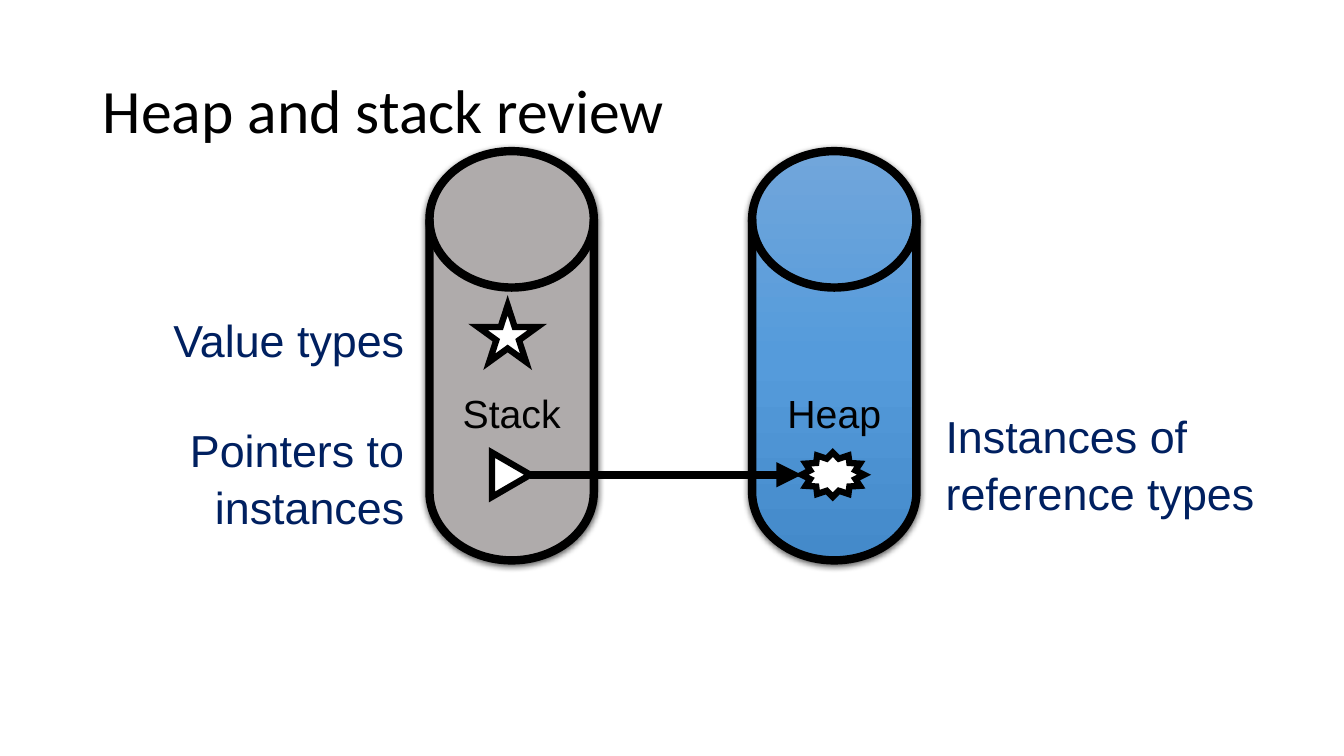
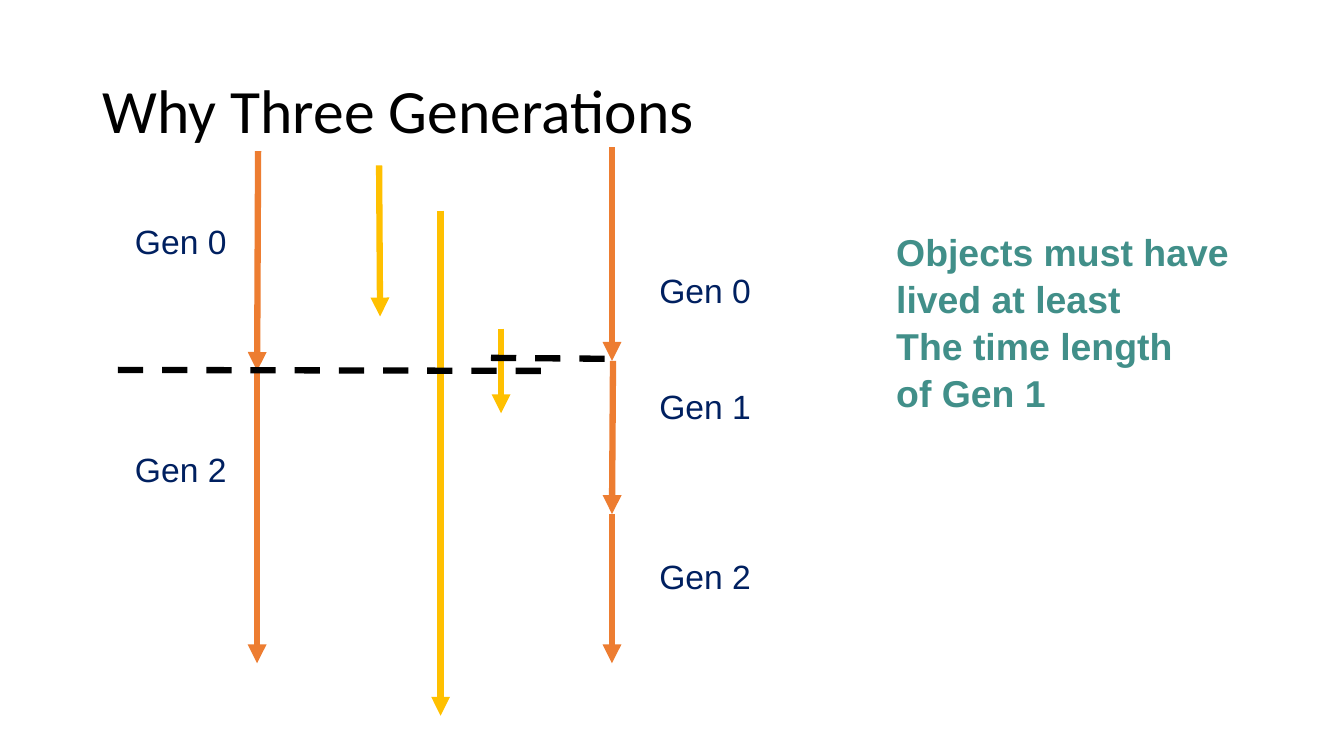
from copy import deepcopy

from lxml import etree
from pptx import Presentation
from pptx import util as u
from pptx.dml.color import RGBColor
from pptx.enum import dml, shapes, text
from pptx.oxml.ns import qn

PX = 9144
BLACK, WHITE, NAVY, TEAL = "000000", "FFFFFF", "002060", "418F89"
GREY, ORANGE, GOLD = "AFABAB", "ED7D31", "FFC000"
HEAP_BLUES = [(0, "71A6DB"), (0.5, "559BDB"), (1, "448ACA")]
SHAPE, ALIGN = shapes.MSO_SHAPE, text.PP_ALIGN


def px(*lengths):
    return [u.Emu(length * PX) for length in lengths]


def rgb(color):
    return RGBColor.from_string(color)


def style_text(frame, size, color, font="Arial", align=ALIGN.LEFT, bold=False, spacing=None):
    for paragraph in frame.paragraphs:
        paragraph.alignment = align
        paragraph.line_spacing = spacing
        paragraph.font.name = font
        paragraph.font.size = u.Pt(size)
        paragraph.font.bold = bold
        paragraph.font.color.rgb = rgb(color)


def add_titled_slide(prs, wording):
    slide = prs.slides.add_slide(prs.slide_layouts[5])
    title = slide.shapes.title
    title.left, title.top, title.width, title.height = px(92, 40, 1150, 145)
    title.text_frame.text = wording
    title.text_frame.vertical_anchor = text.MSO_ANCHOR.MIDDLE
    style_text(title.text_frame, 44, BLACK, font="Calibri", spacing=0.9)
    return slide


def add_label(slide, box, wording, size=24, color=NAVY, align=ALIGN.LEFT, bold=False, wrap=False):
    frame = slide.shapes.add_textbox(*px(*box)).text_frame
    frame.word_wrap = wrap
    frame.auto_size = text.MSO_AUTO_SIZE.SHAPE_TO_FIT_TEXT
    frame.text = wording
    style_text(frame, size, color, align=align, bold=bold, spacing=1.05)


def add_outlined(slide, kind, box, fill=WHITE, width=4.5, rotation=0):
    shape = slide.shapes.add_shape(kind, *px(*box))
    shape.rotation = rotation
    shape.shadow.inherit = False
    shape.fill.solid()
    shape.fill.fore_color.rgb = rgb(fill)
    shape.line.color.rgb = rgb(BLACK)
    shape.line.width = u.Pt(width)
    outline = shape.element.spPr.find(qn("a:ln"))
    etree.SubElement(outline, qn("a:miter"), lim="800000")
    return shape


def add_drop_shadow(shape):
    effects = shape.element.spPr.find(qn("a:effectLst"))
    shadow = etree.SubElement(effects, qn("a:outerShdw"), blurRad=str(u.Pt(4.5)),
                              dist=str(u.Pt(1.5)), dir="5400000", rotWithShape="0")
    tint = etree.SubElement(shadow, qn("a:srgbClr"), val=BLACK)
    etree.SubElement(tint, qn("a:alpha"), val="63000")


def fill_downwards(shape, blend):
    shape.fill.gradient()
    shape.fill.gradient_angle = 270
    stop_list = shape.element.spPr.find(qn("a:gradFill")).find(qn("a:gsLst"))
    stop_list.append(deepcopy(stop_list[0]))
    for stop, (position, color) in zip(shape.fill.gradient_stops, blend):
        stop.position = position
        stop.color.rgb = rgb(color)


def add_cylinder(slide, left, name):
    cylinder = add_outlined(slide, SHAPE.FLOWCHART_MAGNETIC_DISK, (left, 150, 163, 406), GREY, 6)
    add_drop_shadow(cylinder)
    frame = cylinder.text_frame
    frame.text = name
    frame.word_wrap = False
    frame.vertical_anchor = text.MSO_ANCHOR.MIDDLE
    frame.margin_left, frame.margin_top, frame.margin_right, frame.margin_bottom = px(10, 50, 10, 5)
    style_text(frame, 28, BLACK, align=ALIGN.CENTER)
    return cylinder


def add_line(slide, ends, color, width=4.5, dashed=False):
    connector = slide.shapes.add_connector(shapes.MSO_CONNECTOR.STRAIGHT, *px(*ends))
    etree.SubElement(connector.element.spPr, qn("a:effectLst"))
    connector.line.color.rgb = rgb(color)
    connector.line.width = u.Pt(width)
    if dashed:
        connector.line.dash_style = dml.MSO_LINE.DASH
    else:
        stroke = connector.element.spPr.find(qn("a:ln"))
        etree.SubElement(stroke, qn("a:tailEnd"), type="triangle")


def build_heap_and_stack(prs):
    slide = add_titled_slide(prs, "Heap and stack review")
    add_cylinder(slide, 426, "Stack")
    heap = add_cylinder(slide, 746, "Heap")
    fill_downwards(heap, HEAP_BLUES)
    add_outlined(slide, SHAPE.ISOSCELES_TRIANGLE, (485, 452, 44, 38), rotation=90)
    add_outlined(slide, SHAPE.STAR_12_POINT, (795, 449, 62, 44))
    add_line(slide, (526, 471, 795, 471), BLACK, width=6)
    add_outlined(slide, SHAPE.STAR_5_POINT, (474, 303, 59, 56))
    add_label(slide, (160, 303, 251, 64), "Value types", 32, align=ALIGN.RIGHT)
    add_label(slide, (177, 412, 234, 118), "Pointers to\vinstances", 32, align=ALIGN.RIGHT)
    add_label(slide, (928, 398, 338, 118), "Instances of reference types", 32, wrap=True)


def build_three_generations(prs):
    slide = add_titled_slide(prs, "Why Three Generations")
    lifetimes = [
        (ORANGE, (256, 150, 255, 368)),
        (ORANGE, (255, 368, 255, 658)),
        (GOLD, (376, 164, 377, 314)),
        (GOLD, (437, 209, 437, 710)),
        (GOLD, (497, 326, 497, 410)),
        (ORANGE, (607, 146, 607, 358)),
        (ORANGE, (608, 358, 607, 510)),
        (ORANGE, (607, 510, 607, 658)),
    ]
    for color, ends in lifetimes:
        add_line(slide, ends, color)
    generations = [(124, 212, 0), (124, 438, 2), (644, 261, 0), (644, 376, 1), (644, 545, 2)]
    for left, top, number in generations:
        add_label(slide, (left, top, 112, 50), f"Gen {number}")
    add_label(slide, (879, 220, 363, 190),
              "Objects must have\nlived at least\nThe time length\nof Gen 1",
              26.7, TEAL, bold=True)
    for collection in [(117, 367, 549, 368), (487, 355, 607, 356)]:
        add_line(slide, collection, BLACK, dashed=True)


def main():
    prs = Presentation()
    prs.slide_width, prs.slide_height = px(1333, 750)
    build_heap_and_stack(prs)
    build_three_generations(prs)
    prs.save("out.pptx")


if __name__ == "__main__":
    main()
